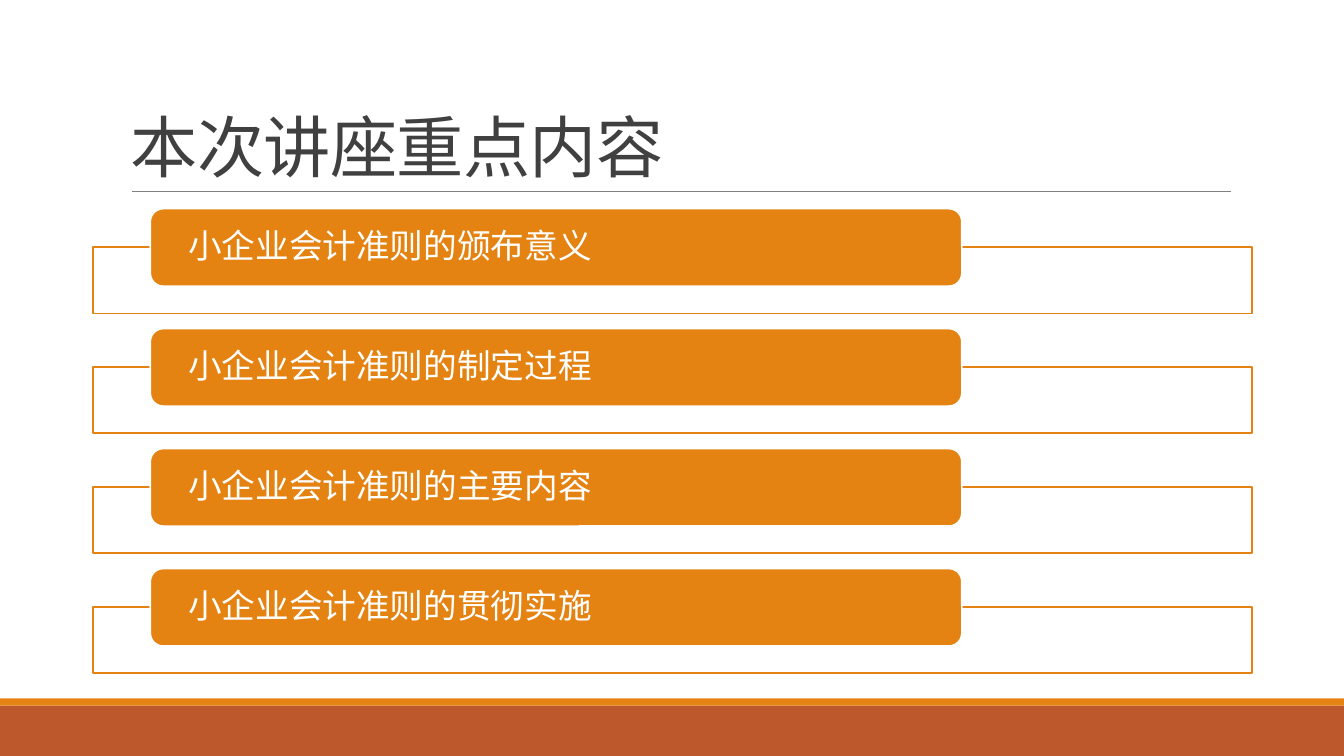
import pptx
import pptx.util
import pptx.dml.color
import pptx.enum.shapes
import pptx.enum.text
import lxml.etree

Inches, Pt = pptx.util.Inches, pptx.util.Pt
SHAPE = pptx.enum.shapes.MSO_SHAPE
ANCHOR = pptx.enum.text.MSO_ANCHOR
COLORS = {"orange": "E48312", "rust": "BD582C", "white": "FFFFFF",
          "title": "404040", "rule": "808080"}
TOPICS = ["小企业会计准则的颁布意义", "小企业会计准则的制定过程",
          "小企业会计准则的主要内容", "小企业会计准则的贯彻实施"]
TOPIC_TOP, TOPIC_STEP = 2.07, 1.19


def rgb(name):
    return pptx.dml.color.RGBColor.from_string(COLORS[name])


def add_box(kind, left, top, width, height, fill, line=None):
    sp = s.shapes.add_shape(kind, Inches(left), Inches(top), Inches(width), Inches(height))
    sp.shadow.inherit = False
    sp.fill.solid()
    sp.fill.fore_color.rgb = rgb(fill)
    if line:
        sp.line.color.rgb = rgb(line)
        sp.line.width = Pt(1.25)
    else:
        sp.line.fill.background()
    return sp


prs = pptx.Presentation()
prs.slide_width, prs.slide_height = Inches(13.33), Inches(7.5)
s = prs.slides.add_slide(prs.slide_layouts[6])

# Footer bands and title rule
add_box(SHAPE.RECTANGLE, 0, 7, 13.33, 0.5, "rust")
add_box(SHAPE.RECTANGLE, 0, 6.93, 13.33, 0.07, "orange")
rule = s.shapes.add_connector(pptx.enum.shapes.MSO_CONNECTOR.STRAIGHT,
                              Inches(1.31), Inches(1.9), Inches(12.21), Inches(1.9))
rule.line.color.rgb = rgb("rule")
rule.line.width = Pt(0.5)
lxml.etree.SubElement(rule.element.spPr, pptx.oxml.ns.qn("a:effectLst"))

# Title
title = s.shapes.add_textbox(Inches(1.2), Inches(0.31), Inches(11), Inches(1.59))
tf = title.text_frame
tf.word_wrap = True
tf.vertical_anchor = ANCHOR.BOTTOM
p = tf.paragraphs[0]
p.line_spacing = 0.85
r = p.add_run()
r.text = "本次讲座重点内容"
r.font.name = "Calibri"
r.font.size = Pt(48)
r.font.color.rgb = rgb("title")
r.font._element.set("spc", "-50")

# Topics: an outlined frame with a label over its top edge
for i, topic in enumerate(TOPICS):
    top = TOPIC_TOP + i * TOPIC_STEP
    add_box(SHAPE.RECTANGLE, 0.92, top + 0.38, 11.5, 0.66, "white", "orange")
    label = add_box(SHAPE.ROUNDED_RECTANGLE, 1.49, top, 8.05, 0.77, "orange", "white")
    tf = label.text_frame
    tf.word_wrap = True
    tf.vertical_anchor = ANCHOR.MIDDLE
    tf.margin_left = tf.margin_right = Inches(0.34)
    tf.margin_top = tf.margin_bottom = 0
    p = tf.paragraphs[0]
    p.alignment = pptx.enum.text.PP_ALIGN.LEFT
    p.line_spacing = 0.9
    r = p.add_run()
    r.text = topic
    r.font.name = "Calibri"
    r.font.size = Pt(24)
    r.font.color.rgb = rgb("white")

prs.save("out.pptx")
